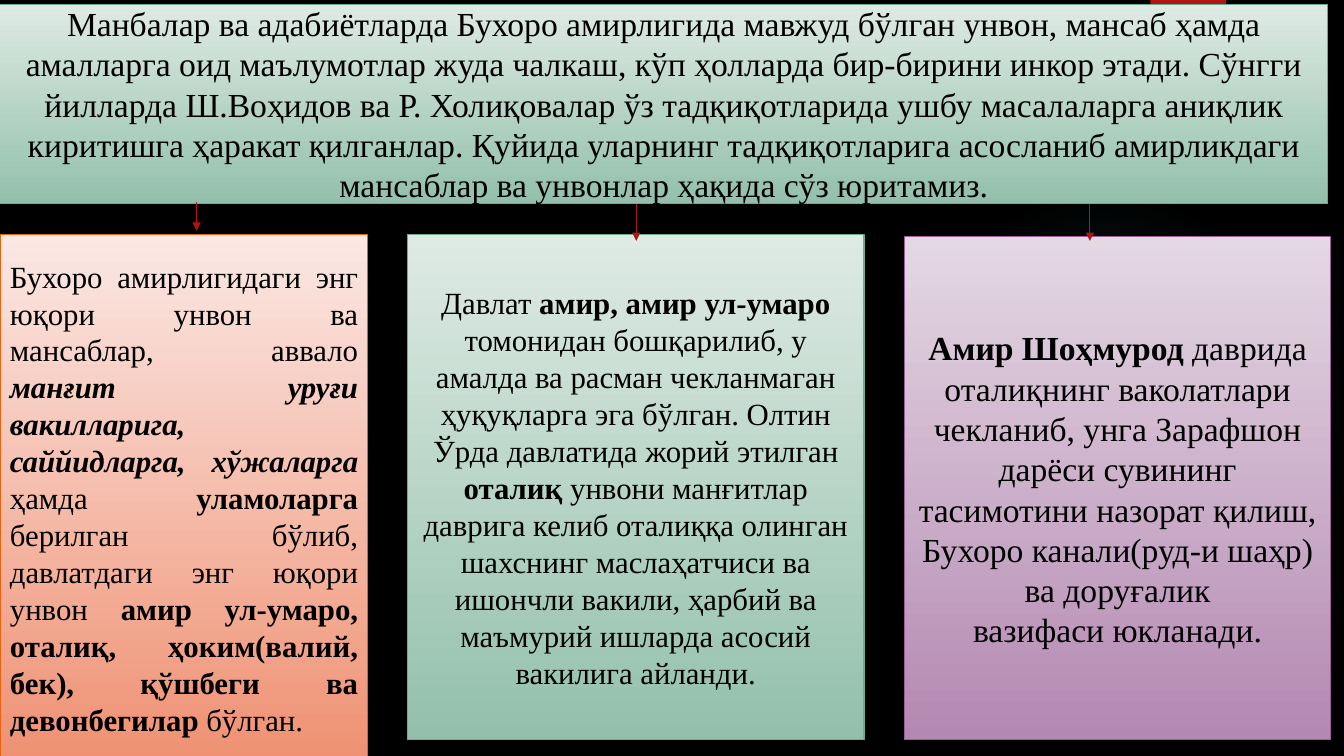
from pptx import Presentation
from pptx.dml.color import RGBColor
from pptx.enum.shapes import MSO_CONNECTOR as Link, MSO_SHAPE as Shape
from pptx.enum.text import MSO_ANCHOR as Anchor, PP_ALIGN as Align
from pptx.oxml import parse_xml
from pptx.oxml.ns import nsdecls
from pptx.util import Inches, Pt

FONT = "Times New Roman"
BLACK = RGBColor(0, 0, 0)
RED = RGBColor(0xB0, 0x15, 0x13)
# top, bottom and edge colours
GREEN = RGBColor(0xDE, 0xEA, 0xE4), RGBColor(0x93, 0xC0, 0xAC), RGBColor(0x6A, 0xAC, 0x90)
ORANGE = RGBColor(0xFB, 0xE8, 0xE4), RGBColor(0xEF, 0x91, 0x73), RGBColor(0xEA, 0x63, 0x12)
PURPLE = RGBColor(0xE4, 0xD8, 0xE3), RGBColor(0xB4, 0x88, 0xB2), RGBColor(0x9E, 0x5E, 0x9B)

# Each paragraph is a list of (text, style) runs: b is bold, i is italic
INTRO = [[("Манбалар ва адабиётларда Бухоро амирлигида мавжуд бўлган унвон, мансаб ҳамда "
           "амалларга оид маълумотлар жуда чалкаш, кўп ҳолларда бир-бирини инкор этади. "
           "Сўнгги йилларда Ш.Воҳидов ва Р. Холиқовалар ўз тадқиқотларида ушбу масалаларга "
           "аниқлик киритишга ҳаракат қилганлар. Қуйида уларнинг тадқиқотларига асосланиб "
           "амирликдаги мансаблар ва унвонлар ҳақида сўз юритамиз.", "")]]
TITLES = [[("Бухоро амирлигидаги энг юқори унвон ва мансаблар, аввало ", ""),
           ("манғит уруғи вакилларига, саййидларга, хўжаларга ", "bi"),
           ("ҳамда ", ""),
           ("уламоларга ", "b"),
           ("берилган бўлиб, давлатдаги энг юқори унвон ", ""),
           ("амир ул-умаро, оталиқ, ҳоким(валий, бек), қўшбеги ва девонбегилар ", "b"),
           ("бўлган.", "")]]
STATE = [[("Давлат ", ""),
          ("амир, амир ул-умаро ", "b"),
          ("томонидан бошқарилиб, у амалда ва расман чекланмаган ҳуқуқларга эга бўлган. Олтин", "")],
         [("Ўрда давлатида жорий этилган ", ""),
          ("оталиқ ", "b"),
          ("унвони манғитлар даврига келиб оталиққа олинган шахснинг маслаҳатчиси ва "
           "ишончли вакили, ҳарбий ва", "")],
         [("маъмурий ишларда асосий вакилига айланди.", "")]]
SHAH = [[("Амир Шоҳмурод ", "b"), ("даврида", "")],
        [("оталиқнинг ваколатлари чекланиб, унга Зарафшон дарёси сувининг", "")],
        [("тасимотини назорат қилиш, Бухоро канали(руд-и шаҳр) ва доруғалик", "")],
        [("вазифаси юкланади.", "")]]

# left, top, width, height, colours, alignment, text size, paragraphs
CARDS = [
    (0, 0.04, 13.17, 1.98, GREEN, Align.CENTER, 24, INTRO),
    (0, 2.33, 3.65, 5.21, ORANGE, Align.JUSTIFY, 22, TITLES),
    (4.04, 2.33, 4.53, 5.01, GREEN, Align.CENTER, 22, STATE),
    (8.97, 2.35, 4.23, 4.99, PURPLE, Align.CENTER, 24, SHAH),
]
ARROWS = [(1.95, 2, 2.29), (6.31, 2.02, 2.39), (10.81, 2.02, 2.39)]  # x, from y, to y
GLOW = [(0, 7), (36, 6), (69, 0)]  # stop and opacity, percent

deck = Presentation()
deck.slide_width, deck.slide_height = Inches(13.33), Inches(7.5)
slide = deck.slides.add_slide(deck.slide_layouts[6])
slide.background.fill.solid()
slide.background.fill.fore_color.rgb = BLACK


def add_shape(kind, *box):
    shape = slide.shapes.add_shape(kind, *map(Inches, box))
    shape.shadow.inherit = False
    shape.line.fill.background()
    return shape


def add_glow():
    """Add the faint round light behind the cards."""
    glow = add_shape(Shape.OVAL, 9.41, 1.83, 3.08, 3.08)
    glow.fill.background()
    stops = "".join(
        f'<a:gs pos="{pos * 1000}"><a:srgbClr val="50B9C1">'
        f'<a:alpha val="{part * 1000}"/></a:srgbClr></a:gs>' for pos, part in GLOW)
    props = glow._element.spPr
    props.replace(props.find("{*}noFill"), parse_xml(
        f'<a:gradFill {nsdecls("a")}><a:gsLst>{stops}</a:gsLst><a:path path="circle">'
        '<a:fillToRect l="50000" t="50000" r="50000" b="50000"/></a:path></a:gradFill>'))


def add_card(left, top, width, height, tones, align, size, paras):
    card = add_shape(Shape.RECTANGLE, left, top, width, height)
    card.fill.gradient()
    card.fill.gradient_angle = 270
    for stop, pos, tone in zip(card.fill.gradient_stops, (0, 1), tones):
        stop.position, stop.color.rgb = pos, tone
    card.line.color.rgb = tones[2]
    card.line.width = Pt(0.75)
    frame = card.text_frame
    frame.word_wrap = True
    frame.vertical_anchor = Anchor.MIDDLE
    for num, runs in enumerate(paras):
        para = frame.add_paragraph() if num else frame.paragraphs[0]
        para.alignment = align
        para.font.name, para.font.size = FONT, Pt(size)
        para.font.color.rgb = BLACK
        for text, style in runs:
            run = para.add_run()
            run.text = text
            if "b" in style:
                run.font.bold = True
            if "i" in style:
                run.font.italic = True


def add_arrow(x, start, end):
    arrow = slide.shapes.add_connector(
        Link.STRAIGHT, Inches(x), Inches(start), Inches(x), Inches(end))
    arrow.line.color.rgb = RED
    arrow.line.width = Pt(0.75)
    arrow.line._get_or_add_ln().append(parse_xml(f'<a:tailEnd {nsdecls("a")} type="triangle"/>'))
    arrow._element.spPr.append(parse_xml(f'<a:effectLst {nsdecls("a")}/>'))


add_glow()
tab = add_shape(Shape.RECTANGLE, 11.41, 0, 0.75, 1.25)
tab.fill.solid()
tab.fill.fore_color.rgb = RED
for card in CARDS:
    add_card(*card)
for arrow in ARROWS:
    add_arrow(*arrow)
deck.save("out.pptx")
